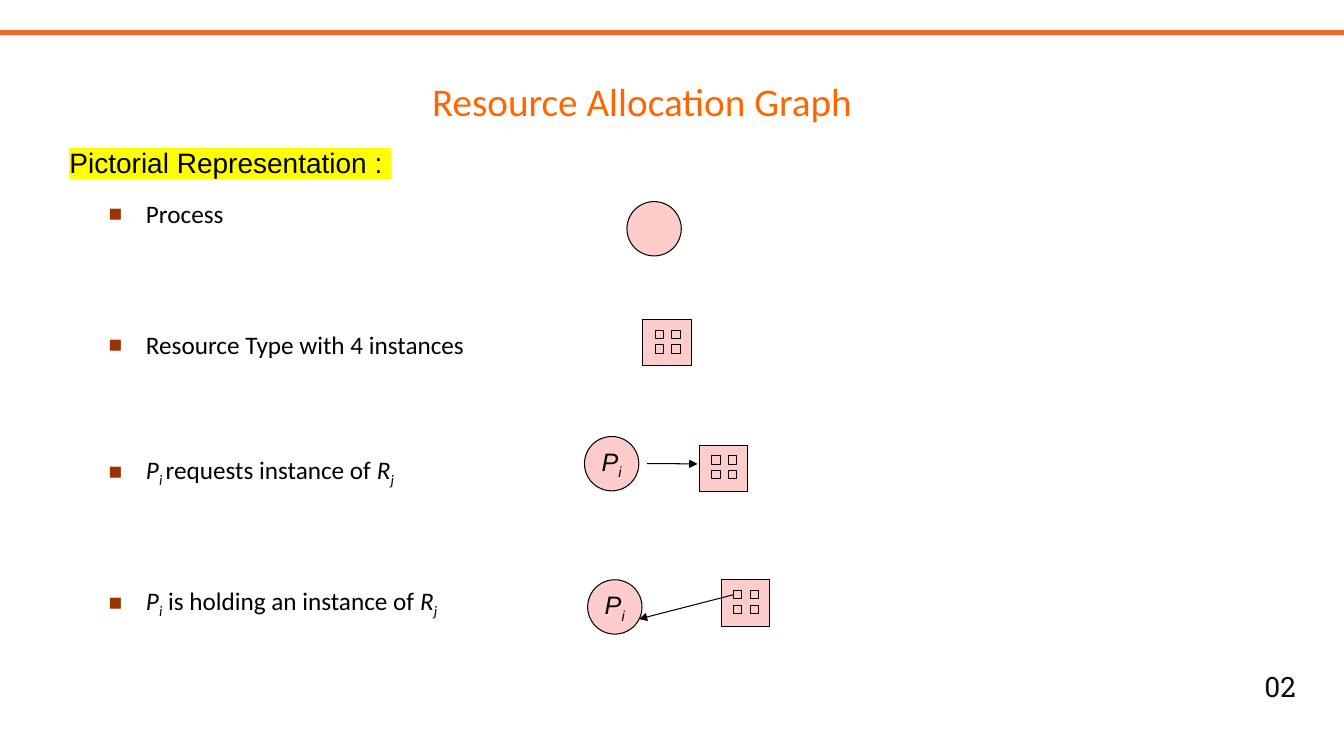
"""Build the resource allocation graph slide."""
from dataclasses import dataclass
from itertools import product

from lxml import etree
from pptx import Presentation
from pptx.dml.color import RGBColor
from pptx.enum.shapes import MSO_CONNECTOR, MSO_SHAPE
from pptx.enum.text import MSO_ANCHOR, PP_ALIGN
from pptx.oxml.ns import qn
from pptx.util import Cm, Pt

RECT, OVAL = MSO_SHAPE.RECTANGLE, MSO_SHAPE.OVAL
STRAIGHT = MSO_CONNECTOR.STRAIGHT
LEFT, CENTER = PP_ALIGN.LEFT, PP_ALIGN.CENTER
TOP, MIDDLE = MSO_ANCHOR.TOP, MSO_ANCHOR.MIDDLE

BLACK = RGBColor(0x00, 0x00, 0x00)
NEAR_BLACK = RGBColor(0x0D, 0x0D, 0x0D)
PINK = RGBColor(0xFF, 0xCC, 0xCC)
ORANGE = RGBColor(0xFF, 0x66, 0x00)
BAR_ORANGE = RGBColor(0xED, 0x68, 0x2F)
BROWN = RGBColor(0x99, 0x33, 0x00)
YELLOW = RGBColor(0xFF, 0xFF, 0x00)

LINE_WIDTH = Pt(0.75)
INDENT = Cm(0.94)
PROCESS_SIZE = 1.37
RESOURCE_W, RESOURCE_H = 1.22, 1.17
INSTANCE_SIZE = 0.21
INSTANCE_XS, INSTANCE_YS = (0.31, 0.73), (0.27, 0.64)


@dataclass(frozen=True)
class Run:
    """A piece of text with its slant and baseline."""
    text: str
    italic: bool = False
    sub: bool = False


@dataclass(frozen=True)
class Style:
    """Font of a text."""
    name: str
    size: float
    color: RGBColor


@dataclass(frozen=True)
class Label:
    """A single-line text box."""
    text: str
    box: tuple
    style: Style
    align: int = LEFT
    anchor: int = TOP
    wrap: bool = True
    spacing: float = 1.0
    highlight: RGBColor | None = None


@dataclass(frozen=True)
class Bullet:
    """A list item and the gap above it in points."""
    runs: tuple
    gap: float


@dataclass(frozen=True)
class Process:
    """A process circle."""
    x: float
    y: float
    runs: tuple = ()


BODY = Style("Calibri", 18, BLACK)
NODE = Style("Arial", 18, BLACK)
P_I = (Run("P", True), Run("i", True, True))
R_J = (Run("R", True), Run("j", True, True))

LABELS = (
    Label("02", (31.6, 16.74, 1.32, 1.12), Style("Roboto Slab", 20, NEAR_BLACK),
          align=CENTER, wrap=False),
    Label("Resource Allocation Graph", (10.64, 0.94, 13.26, 3.18),
          Style("Calibri", 28, ORANGE), anchor=MIDDLE),
    Label("Pictorial Representation : ", (1.5, 3.12, 21.79, 1.37),
          Style("Arial", 20, BLACK), spacing=1.5, highlight=YELLOW),
)
BODY_BOX = (2.49, 4.88, 20.42, 12.32)
BULLETS = (
    Bullet((Run("Process"),), 0),
    Bullet((Run("Resource Type with 4 instances"),), 72),
    Bullet((P_I[0], Run("i ", True, True), Run("requests instance of "), *R_J), 67.5),
    Bullet((*P_I, Run(" is holding an instance of "), *R_J), 69),
)
PROCESSES = (Process(15.8, 5.08), Process(14.73, 11), Process(14.81, 14.61, P_I))
PROCESSES = (PROCESSES[0], Process(14.73, 11, P_I), PROCESSES[2])
RESOURCES = ((16.2, 8.05), (17.63, 11.22), (18.18, 14.61))
REQUEST = (16.31, 11.68, 17.58, 11.69)
ASSIGNMENT = (18.49, 14.99, 16.1, 15.6)


def apply(obj, **values) -> None:
    """Set attributes from format values."""
    for key, value in values.items():
        setattr(obj, key, value)


def add_color(parent, tag: str, color: RGBColor):
    """Append an element that holds a colour."""
    el = etree.SubElement(parent, qn(tag))
    etree.SubElement(el, qn("a:srgbClr"), val=str(color))
    return el


def add_runs(p, runs: tuple, style: Style) -> None:
    """Add formatted runs to a paragraph."""
    for run in runs:
        r = p.add_run()
        r.text = run.text
        apply(r.font, name=style.name, size=Pt(style.size), italic=run.italic)
        r.font.color.rgb = style.color
        if run.sub:
            r.font._element.set("baseline", "-25000")


def add_label(s, label: Label) -> None:
    """Draw a single-line text box."""
    tf = s.shapes.add_textbox(*map(Cm, label.box)).text_frame
    apply(tf, word_wrap=label.wrap, vertical_anchor=label.anchor)
    p = tf.paragraphs[0]
    apply(p, alignment=label.align, line_spacing=label.spacing)
    add_runs(p, (Run(label.text),), label.style)
    if label.highlight is not None:
        rpr = p.runs[0].font._element
        highlight = add_color(rpr, "a:highlight", label.highlight)
        rpr.find(qn("a:solidFill")).addnext(highlight)


def add_bullets(s, bullets: tuple) -> None:
    """Draw the bulleted list."""
    tf = s.shapes.add_textbox(*map(Cm, BODY_BOX)).text_frame
    tf.word_wrap = True
    for i, bullet in enumerate(bullets):
        p = tf.add_paragraph() if i else tf.paragraphs[0]
        p.space_before = Pt(bullet.gap)
        ppr = p._p.get_or_add_pPr()
        ppr.set("marL", str(INDENT))
        ppr.set("indent", str(-INDENT))
        add_color(ppr, "a:buClr", BROWN)
        etree.SubElement(ppr, qn("a:buSzPct"), val="90000")
        etree.SubElement(ppr, qn("a:buFont"), typeface="Arial")
        etree.SubElement(ppr, qn("a:buChar"), char="■")
        add_runs(p, bullet.runs, BODY)


def add_box(shapes, kind: int, box: tuple, fill: RGBColor, outlined: bool = True):
    """Draw a filled preset shape."""
    sp = shapes.add_shape(kind, *map(Cm, box))
    sp.shadow.inherit = False
    sp.fill.solid()
    sp.fill.fore_color.rgb = fill
    if outlined:
        sp.line.color.rgb = BLACK
        sp.line.width = LINE_WIDTH
    else:
        sp.line.fill.background()
    return sp


def add_process(s, process: Process) -> None:
    """Draw a process circle with its name."""
    box = (process.x, process.y, PROCESS_SIZE, PROCESS_SIZE)
    sp = add_box(s.shapes, OVAL, box, PINK)
    if process.runs:
        tf = sp.text_frame
        apply(tf, word_wrap=False, vertical_anchor=MIDDLE)
        tf.paragraphs[0].alignment = CENTER
        add_runs(tf.paragraphs[0], process.runs, NODE)


def add_resource(s, x: float, y: float) -> list:
    """Draw a resource type and return its instances."""
    shapes = s.shapes.add_group_shape().shapes
    add_box(shapes, RECT, (x, y, RESOURCE_W, RESOURCE_H), PINK)
    return [add_box(shapes, RECT, (x + dx, y + dy, INSTANCE_SIZE, INSTANCE_SIZE), PINK)
            for dy, dx in product(INSTANCE_YS, INSTANCE_XS)]


def add_arrow(s, ends: tuple):
    """Draw an arrow."""
    c = s.shapes.add_connector(STRAIGHT, *map(Cm, ends))
    c.line.color.rgb = BLACK
    c.line.width = LINE_WIDTH
    etree.SubElement(c.line._get_or_add_ln(), qn("a:tailEnd"), type="triangle")
    etree.SubElement(c._element.spPr, qn("a:effectLst"))
    return c


def main() -> None:
    """Build and save the slide."""
    prs = Presentation()
    apply(prs, slide_width=Cm(33.87), slide_height=Cm(19.05))
    s = prs.slides.add_slide(prs.slide_layouts[6])
    add_box(s.shapes, RECT, (0, 0.76, 33.87, 0.13), BAR_ORANGE, outlined=False)
    for label in LABELS:
        add_label(s, label)
    add_bullets(s, BULLETS)
    for process in PROCESSES:
        add_process(s, process)
    instances = [add_resource(s, x, y) for x, y in RESOURCES]
    add_arrow(s, REQUEST)
    add_arrow(s, ASSIGNMENT).begin_connect(instances[-1][0], 1)
    prs.save("out.pptx")


if __name__ == "__main__":
    main()
